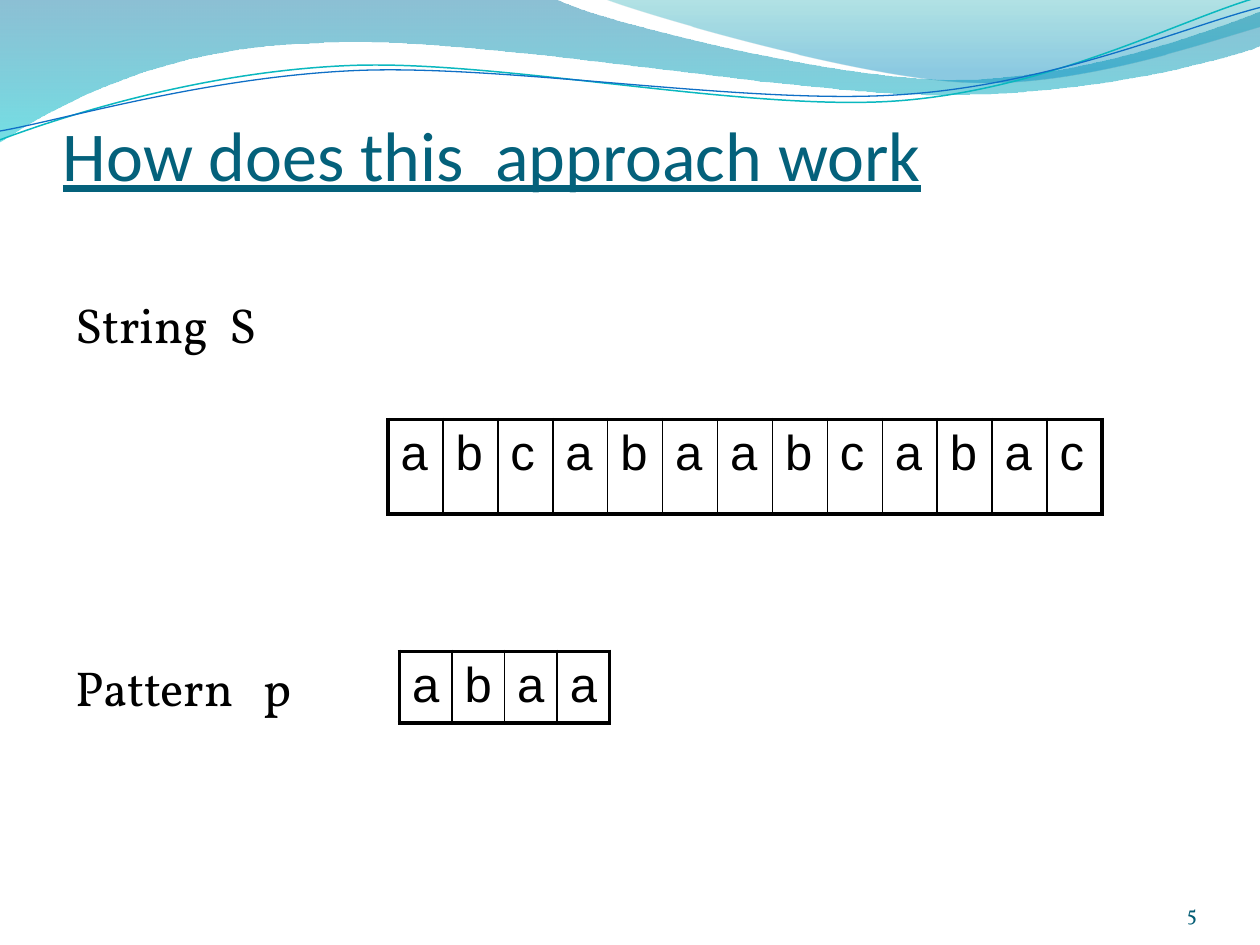
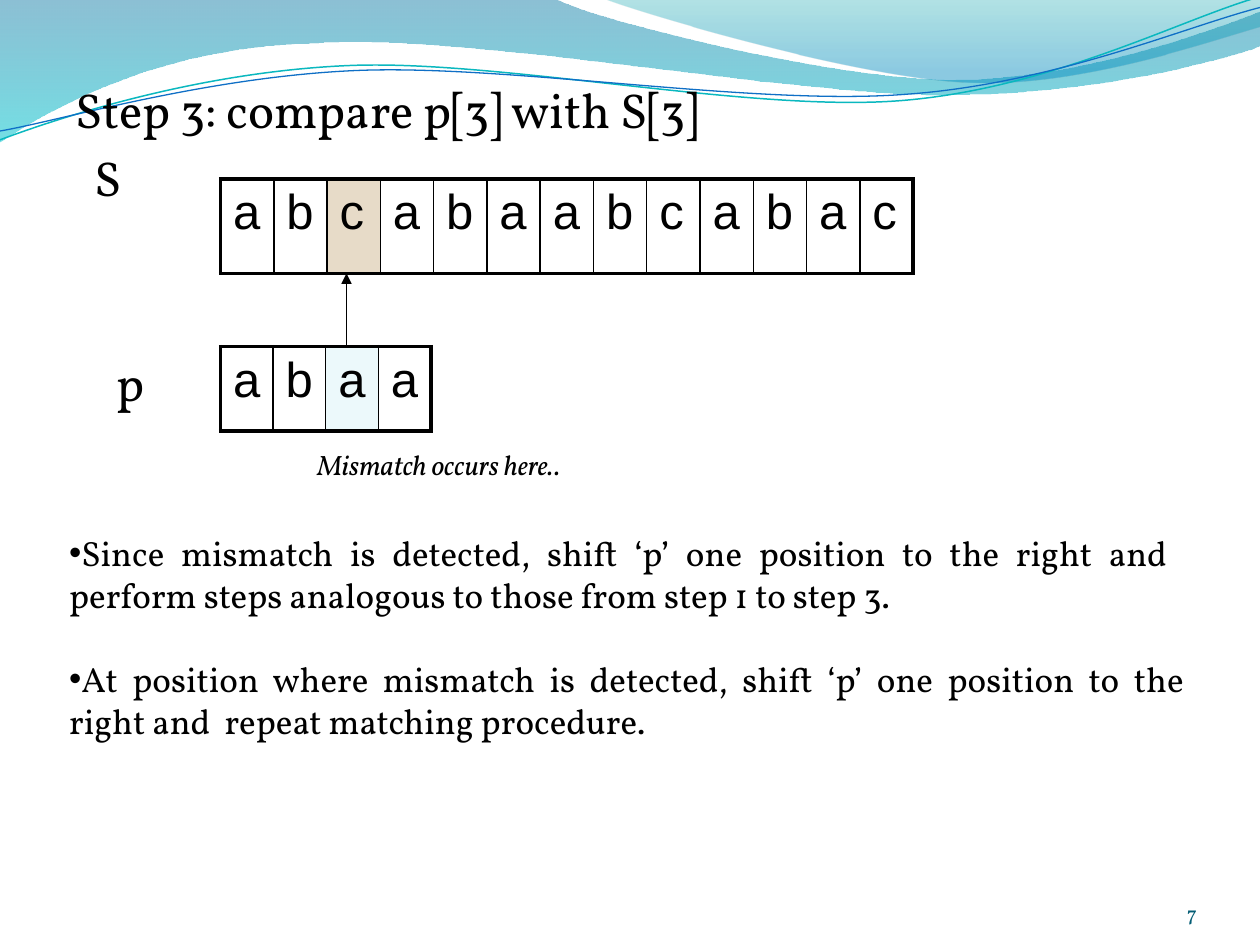
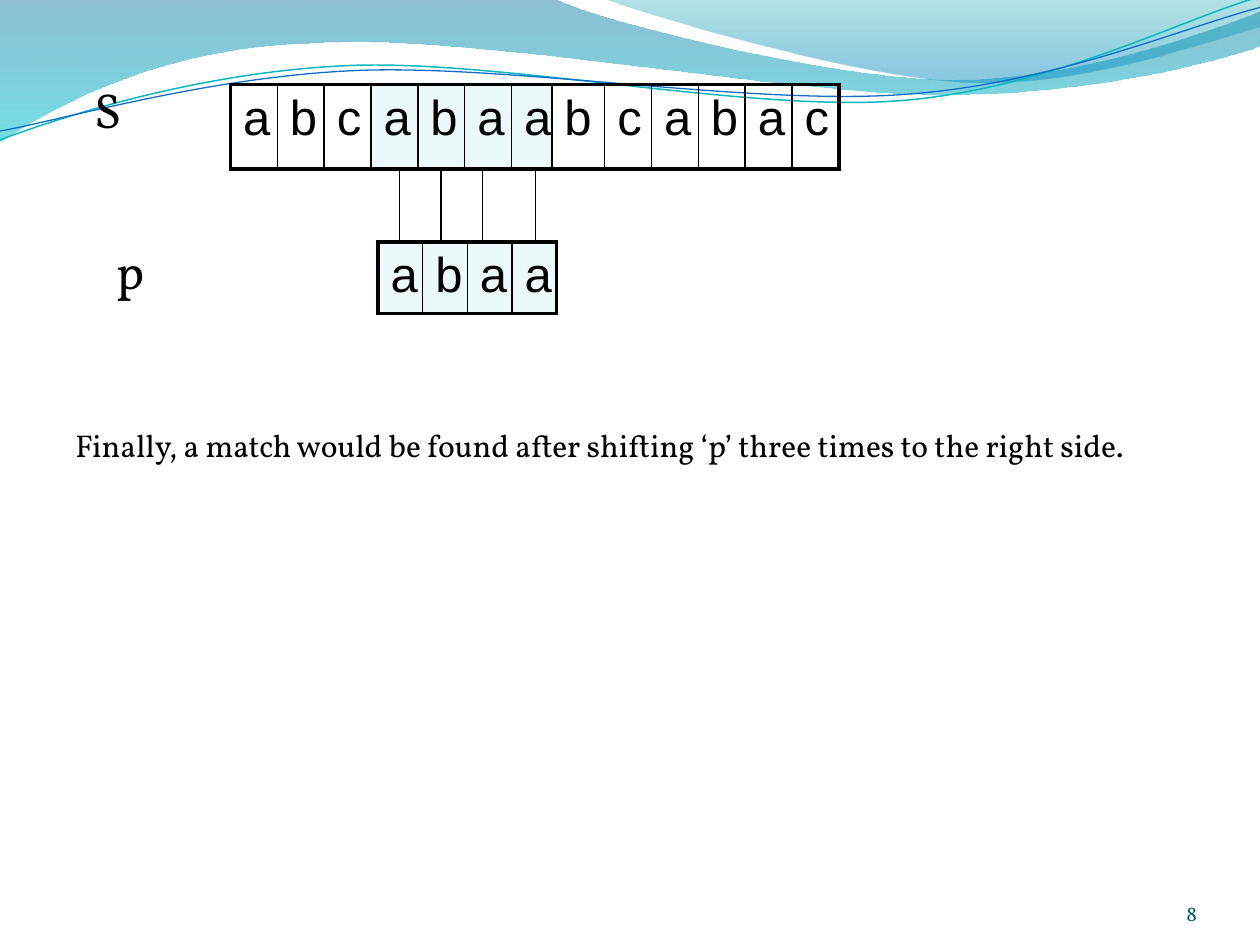
from dataclasses import dataclass
from itertools import zip_longest
from math import cos, radians, sin

from pptx import Presentation
from pptx import util as u
from pptx.dml.color import RGBColor
from pptx.enum import shapes, text
from pptx.oxml import parse_xml
from pptx.oxml.ns import nsdecls, qn

Inches, Pt = u.Inches, u.Pt


@dataclass(frozen=True)
class Theme:
    ink: str = "000000"
    title: str = "04617B"
    number: str = "045D75"
    match: str = "DBF5F9"
    mismatch: str = "D1B893"
    serif: str = "Vollkorn"
    sans: str = "Arial"
    heading: str = "Calibri"
    title_size: int = 40
    body_size: int = 28
    bullet_size: int = 20
    remark_size: int = 18
    note_size: int = 16
    number_size: int = 12
    outer_line: float = 2.25
    inner_line: float = 1
    thin_line: float = 0.75


theme = Theme()
S = "abcabaabcabac"
P = "abaa"


def add_text(page, at, lines, size=theme.body_size, font=theme.serif, color=theme.ink,
             align=None, anchor="TOP", insets=(0.1, 0.05, 0.1, 0.05), gap=0, indents=(),
             tab=None, bullet=None, italic=None, underline=None):
    box = page.shapes.add_textbox(*map(Inches, at))
    frame = box.text_frame
    frame.word_wrap = True
    frame.vertical_anchor = text.MSO_ANCHOR[anchor]
    (frame.margin_left, frame.margin_top,
     frame.margin_right, frame.margin_bottom) = map(Inches, insets)
    for index, (line, indent) in enumerate(zip_longest(lines, indents, fillvalue=0)):
        para = frame.add_paragraph() if index else frame.paragraphs[0]
        if align:
            para.alignment = text.PP_ALIGN[align]
        if index:
            para.space_before = Pt(gap)
        span = para.add_run()
        span.text = line
        span.font.size, span.font.name = Pt(size), font
        span.font.italic, span.font.underline = italic, underline
        span.font.color.rgb = RGBColor.from_string(color)
        props = para._p.get_or_add_pPr()
        props.set("marL", str(Inches(indent)))
        if bullet:
            props.append(parse_xml(f'<a:buFont {nsdecls("a")} typeface="{theme.sans}"/>'))
            props.append(parse_xml(f'<a:buChar {nsdecls("a")} char="{bullet}"/>'))
        if tab:
            props.append(parse_xml(f'<a:tabLst {nsdecls("a")}>'
                                   f'<a:tab pos="{Inches(tab)}" algn="l"/></a:tabLst>'))


def add_letters(page, left, top, height, letters, widths, row=None, marked=(),
                mark=theme.match):
    """One row of letters with a heavy frame and thin dividers."""
    last = len(letters) - 1
    frame = page.shapes.add_table(1, last + 1, Inches(left), Inches(top),
                                  Inches(sum(widths)), Inches(height))
    table = frame.table
    table.first_row = table.horz_banding = False
    table.rows[0].height = Inches(row or height)
    frame.height = Inches(height)
    for index, letter in enumerate(letters):
        table.columns[index].width = Inches(widths[index])
        cell = table.cell(0, index)
        span = cell.text_frame.paragraphs[0].add_run()
        span.text = letter
        span.font.size, span.font.name = Pt(theme.body_size), theme.sans
        span.font.color.rgb = RGBColor.from_string(theme.ink)
        props = cell._tc.get_or_add_tcPr()
        if index in marked:
            cell.fill.solid()
            cell.fill.fore_color.rgb = RGBColor.from_string(mark)
            props.find(".//" + qn("a:srgbClr")).append(
                parse_xml(f'<a:alpha {nsdecls("a")} val="50000"/>'))
        else:
            cell.fill.background()
        heavy = {"L": index == 0, "R": index == last, "T": True, "B": True}
        for place, side in enumerate("LRTB"):
            weight = theme.outer_line if heavy[side] else theme.inner_line
            props.insert(place, parse_xml(
                f'<a:ln{side} {nsdecls("a")} w="{Pt(weight)}"><a:solidFill>'
                f'<a:srgbClr val="{theme.ink}"/></a:solidFill></a:ln{side}>'))


deck = Presentation()
deck.slide_width, deck.slide_height = Inches(10), Inches(7.5)
blank = deck.slide_layouts[6]
for holder in list(blank.placeholders):
    blank.shapes.element.remove(holder.element)
pages = [deck.slides.add_slide(blank) for _ in range(3)]

# Shared waves: a start, then straight (2 numbers) or cubic (6 numbers) pieces;
# the two lines are tilted about a center
TILT = -2.7
waves = [
    dict(start=(0, 0), stops=[(0, "0074A1", 45), (100, "00C6CF", 55)], pieces=[
        (4.4, -0.01), (4.76, 0.17, 6.64, 0.63, 7.58, 0.63),
        (8.53, 0.63, 9.58, 0.26, 10, 0.09), (10.01, 0.36),
        (9.83, 0.44, 8.7, 0.76, 7.46, 0.75), (6.22, 0.75, 3.82, 0.28, 2.57, 0.34),
        (1.29, 0.36, 0.46, 0.83, -0.01, 1.13), (0, 0)]),
    dict(start=(4.79, -0.01), stops=[(0, "00A1A9", 30), (80, "008BBF", 45)], pieces=[
        (5.09, 0.11, 6.82, 0.62, 7.69, 0.65), (8.56, 0.69, 9.61, 0.32, 10, 0.21),
        (10, 0), (4.79, -0.01)]),
    dict(start=(0, 1.11), line=("0AB8BF", 0.85), center=(4.99, 0.57), pieces=[
        (0.48, 0.93, 1.58, 0.57, 2.77, 0.52), (3.95, 0.47, 5.93, 0.89, 7.13, 0.8),
        (8.33, 0.71, 9.38, 0.15, 9.98, -0.02)]),
    dict(start=(0, 1.04), line=("0F6FC6", 0.75), center=(5, 0.59), pieces=[
        (0.47, 0.96, 1.64, 0.61, 2.83, 0.56), (4.03, 0.51, 5.97, 0.84, 7.17, 0.75),
        (8.36, 0.67, 9.41, 0.21, 10, 0.06)]),
]
for number, wave in enumerate(waves, start=20):
    points = [wave["start"]]
    for piece in wave["pieces"]:
        points += zip(piece[::2], piece[1::2])
    if "center" in wave:
        (cx, cy), turn = wave["center"], radians(-TILT)
        points = [(cx + (x - cx) * cos(turn) - (y - cy) * sin(turn),
                   cy + (x - cx) * sin(turn) + (y - cy) * cos(turn)) for x, y in points]
    points = [(Inches(x), Inches(y)) for x, y in points]
    builder = pages[0].shapes.build_freeform(*points[0])
    builder.add_line_segments(points[1:], close="stops" in wave)
    shape = builder.convert_to_shape()
    shape.shadow.inherit = False
    shape.fill.background()

    # Three straight steps become one cubic piece
    steps = iter(list(shape.element.iter(qn("a:lnTo"))))
    for piece in wave["pieces"]:
        step = next(steps)
        if len(piece) == 6:
            curve = parse_xml(f'<a:cubicBezTo {nsdecls("a")}/>')
            step.addprevious(curve)
            for control in (step, next(steps), next(steps)):
                curve.append(control[0])
                control.getparent().remove(control)

    if "stops" in wave:
        shape.line.fill.background()
        stops = "".join(
            f'<a:gs pos="{at * 1000}"><a:srgbClr val="{color}">'
            f'<a:alpha val="{alpha * 1000}"/></a:srgbClr></a:gs>'
            for at, color, alpha in wave["stops"])
        props = shape.element.spPr
        props.replace(props.find(qn("a:noFill")), parse_xml(
            f'<a:gradFill {nsdecls("a")}><a:gsLst>{stops}</a:gsLst>'
            '<a:lin ang="5400000" scaled="0"/></a:gradFill>'))
    else:
        color, weight = wave["line"]
        shape.line.color.rgb = RGBColor.from_string(color)
        shape.line.width = Pt(weight)
        shape.rotation = TILT
    # The layout carries the wave for every page
    shape.element.nvSpPr.cNvPr.set("id", str(number))
    blank.shapes.element.append(shape.element)

# Slide 1: the string and the pattern
page = pages[0]
add_text(page, (0.5, 0.3, 9, 1.25), ["How does this  approach work"], size=theme.title_size,
         font=theme.heading, color=theme.title, anchor="BOTTOM", insets=(0, 0.05, 0, 0),
         underline=True)
add_text(page, (0.5, 1.75, 8.5, 4.95), ["String\tS"], insets=(0.1, 0.59, 0.1, 0.05), tab=1.22)
add_letters(page, 3.08, 3.33, 0.75, S, [5.67 / len(S)] * len(S))
add_letters(page, 3.17, 5.17, 0.57, P, [1.67 / len(P)] * len(P), row=0.44)
add_text(page, (0.5, 5.17, 2, 0.57), ["Pattern\tp"], tab=1.49)

# Slide 2: the mismatch
page = pages[1]
add_text(page, (0.5, 0.58, 9, 6.12), ["Step 3: compare p[3] with S[3]", "S"],
         gap=5.6, indents=(0, 0.15))
add_letters(page, 1.75, 2.75, 0.67, P, [1.67 / len(P)] * len(P), marked=[2])
add_text(page, (0.83, 2.75, 0.42, 0.57), ["p"])
add_text(page, (2.42, 3.5, 2.5, 0.37), ["Mismatch occurs here.."], size=theme.note_size,
         italic=True)
add_text(page, (0.45, 4.17, 9.05, 1.78), [
    "Since mismatch is detected, shift ‘p’ one position to the right and  perform steps "
    "analogous to those from step 1 to step 3.",
    "At position where mismatch is detected, shift ‘p’ one position to the right and  "
    "repeat matching procedure."],
    size=theme.bullet_size, align="JUSTIFY", gap=24, bullet="•")
add_letters(page, 1.75, 1.42, 0.75, S, [5.5 / len(S)] * len(S), marked=[2],
            mark=theme.mismatch)

# Slide 3: the match
page = pages[2]
even = (4.83 - 0.32 - 0.42) / (len(S) - 2)
add_text(page, (0.5, 0.58, 9, 6.12), ["S"], indents=(0.15,))
add_letters(page, 1.83, 0.67, 0.67, S, [even] * 6 + [0.32, 0.42] + [even] * 5,
            marked=range(3, 7))
add_letters(page, 3, 1.92, 0.57, P, [1.42 / len(P)] * len(P), row=0.53, marked=range(4))
add_text(page, (0.83, 1.86, 0.42, 0.57), ["p"])
add_text(page, (0.5, 3.33, 9, 1.01),
         ["Finally, a match would be found after shifting ‘p’ three times to the right side."],
         size=theme.remark_size)

# Comparison lines from the pattern up to the string
comparisons = [(pages[1], 2.75, 2.75, 2.17, True)]
comparisons += [(pages[2], x, 1.92, 1.33, False) for x in (3.17, 3.5, 3.83, 4.25)]
for page, x, bottom, top, arrow in comparisons:
    line = page.shapes.add_connector(shapes.MSO_CONNECTOR.STRAIGHT, Inches(x),
                                     Inches(bottom), Inches(x), Inches(top))
    line.line.color.rgb = RGBColor.from_string(theme.ink)
    line.line.width = Pt(theme.thin_line)
    if arrow:
        line.line._get_or_add_ln().append(
            parse_xml(f'<a:tailEnd {nsdecls("a")} type="triangle"/>'))
    line.element.spPr.append(parse_xml(f'<a:effectLst {nsdecls("a")}/>'))

# Page numbers
for page, number in zip(pages, (5, 7, 8)):
    add_text(page, (7.17, 6.83, 2.33, 0.52), [str(number)], size=theme.number_size,
             color=theme.number, align="RIGHT", anchor="BOTTOM", insets=(0, 0, 0, 0))

deck.save("out.pptx")
